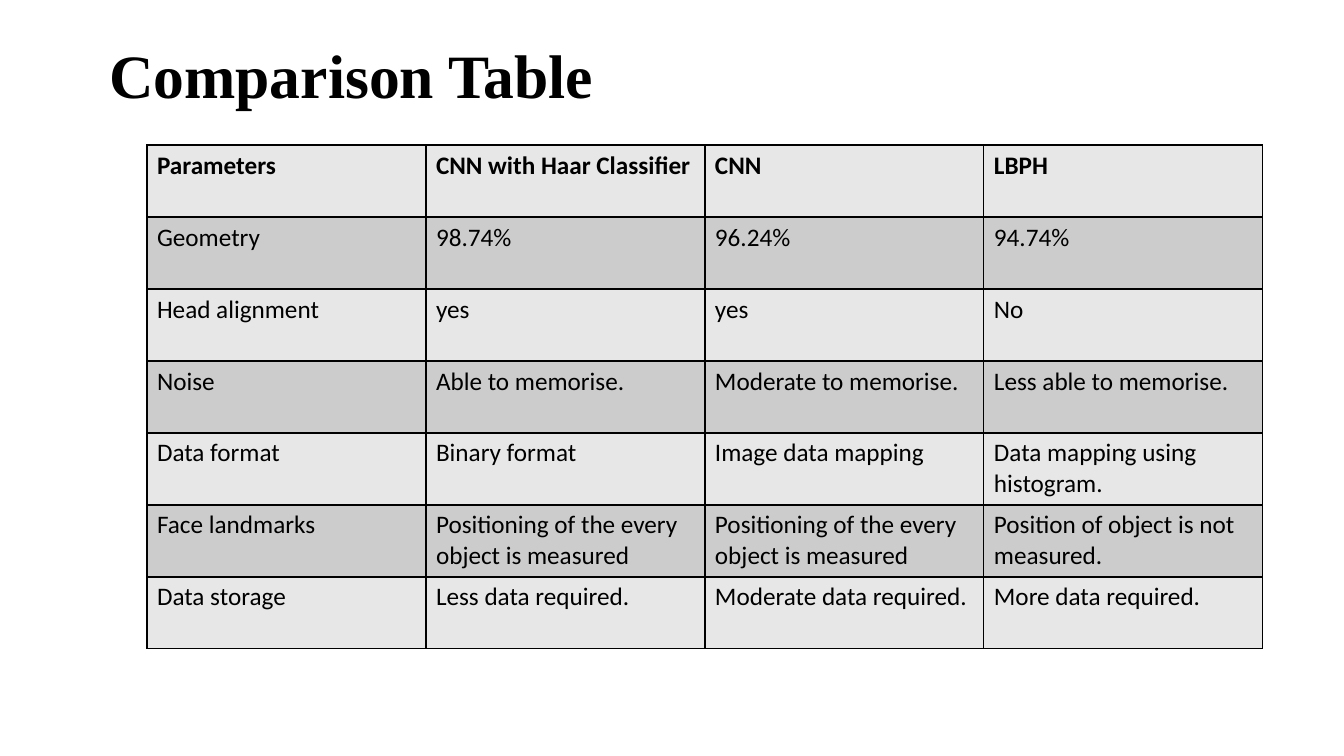
"""Build a slide with a table comparing face recognition methods."""
from lxml.etree import SubElement
from pptx import Presentation
from pptx.dml.color import RGBColor as RGB
from pptx.enum.text import MSO_ANCHOR as ANCHOR, MSO_AUTO_SIZE as AUTO, PP_ALIGN as ALIGN
from pptx.oxml.ns import qn
from pptx.util import Emu, Pt

PX = 9072
COLORS = {"text": "000000", "border": "000000", "light": "E7E7E7", "dark": "CCCCCC"}
ROWS = [
    ["Parameters", "CNN with Haar Classifier", "CNN", "LBPH"],
    ["Geometry", "98.74%", "96.24%", "94.74%"],
    ["Head alignment", "yes", "yes", "No"],
    ["Noise", "Able to memorise.", "Moderate to memorise.", "Less able to memorise."],
    ["Data format", "Binary format", "Image data mapping", "Data mapping using histogram."],
    ["Face landmarks", "Positioning of the every object is measured",
     "Positioning of the every object is measured", "Position of object is not measured."],
    ["Data storage", "Less data required.", "Moderate data required.", "More data required."],
]


def px(n):
    return Emu(n * PX)


def set_font(p, name, size, bold):
    p.font.name, p.font.size, p.font.bold = name, Pt(size), bold
    p.font.color.rgb = RGB.from_string(COLORS["text"])


def add_title(slide, text, x, y, w, h):
    sp = slide.shapes.title
    sp.left, sp.top, sp.width, sp.height = px(x), px(y), px(w), px(h)
    tf = sp.text_frame
    tf.text = text
    tf.auto_size, tf.vertical_anchor = AUTO.NONE, ANCHOR.MIDDLE
    p = tf.paragraphs[0]
    p.alignment = ALIGN.LEFT
    set_font(p, "Times New Roman", 44, True)


def set_borders(cell):
    tcPr = cell._tc.get_or_add_tcPr()
    for i, side in enumerate(("lnL", "lnR", "lnT", "lnB")):
        ln = tcPr.makeelement(qn(f"a:{side}"), {"w": str(Pt(1))})
        fill = SubElement(ln, qn("a:solidFill"))
        SubElement(fill, qn("a:srgbClr"), val=COLORS["border"])
        tcPr.insert(i, ln)


def add_table(slide, rows, x, y, col_w, row_h):
    n, m = len(rows), len(rows[0])
    table = slide.shapes.add_table(n, m, px(x), px(y), px(col_w * m), px(row_h * n)).table
    for col in table.columns:
        col.width = px(col_w)
    for r, texts in enumerate(rows):
        table.rows[r].height = px(row_h)
        for c, text in enumerate(texts):
            cell = table.cell(r, c)
            cell.text = text
            cell.fill.solid()
            cell.fill.fore_color.rgb = RGB.from_string(COLORS["dark" if r % 2 else "light"])
            set_borders(cell)
            set_font(cell.text_frame.paragraphs[0], "Calibri", 18, r == 0)


def main():
    prs = Presentation()
    prs.slide_width, prs.slide_height = px(1344), px(756)
    slide = prs.slides.add_slide(prs.slide_layouts[5])
    add_title(slide, "Comparison Table", 99, 31, 672, 85)
    add_table(slide, ROWS, 147, 145, 279, 72)
    prs.save("out.pptx")


if __name__ == "__main__":
    main()
